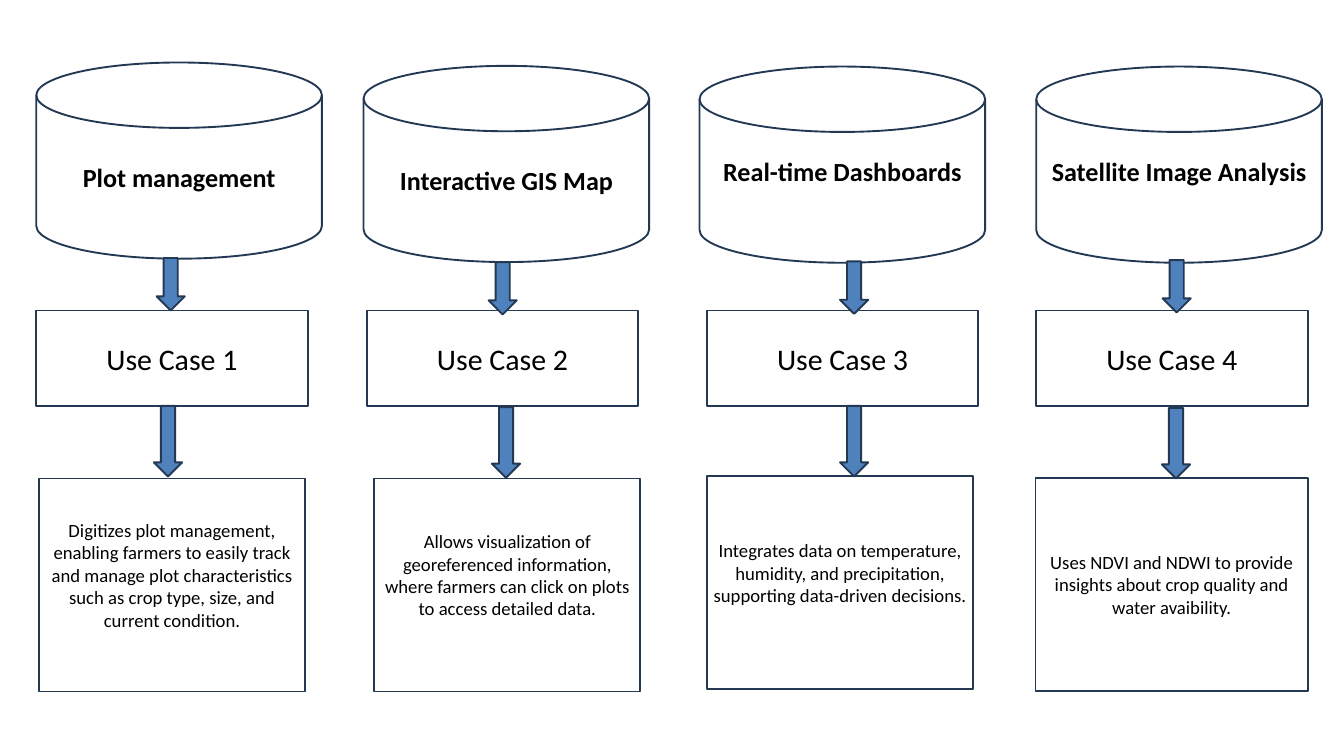
from dataclasses import dataclass

from pptx import Presentation
from pptx.dml.color import RGBColor
from pptx.enum.shapes import MSO_SHAPE as Preset
from pptx.enum.text import MSO_ANCHOR, PP_ALIGN
from pptx.shapes.autoshape import Shape
from pptx.slide import Slide
from pptx.util import Inches, Pt

BLACK = RGBColor(0x00, 0x00, 0x00)
NAVY = RGBColor(0x23, 0x39, 0x53)
BLUE = RGBColor(0x4F, 0x81, 0xBD)
FONT = "Calibri"

INSET = 0.05
RAISED_INSET = 0.35  # bottom inset that lifts centred text by half a line


@dataclass(frozen=True)
class Box:
    left: float
    top: float
    width: float
    height: float


@dataclass(frozen=True)
class Label:
    text: str
    size: int
    bold: bool = False
    raised: bool = False


@dataclass(frozen=True)
class UseCase:
    feature: Label
    cylinder: tuple[float, float]
    case_left: float
    description: Label
    description_box: Box
    upper_arrow: tuple[float, float]
    lower_arrow: tuple[float, float]


USE_CASES = [
    UseCase(
        Label("Plot management", 28, bold=True), (0.54, 0.93), 0.54,
        Label("Digitizes plot management, enabling farmers to easily track and "
              "manage plot characteristics such as crop type, size, and current "
              "condition.", 20, raised=True),
        Box(0.58, 7.12, 3.96, 3.17), (2.33, 3.84), (2.29, 6.04)),
    UseCase(
        Label("Interactive GIS Map", 28, bold=True), (5.41, 0.98), 5.46,
        Label("Allows visualization of georeferenced information, where farmers "
              "can click on plots to access detailed data.", 20, raised=True),
        Box(5.57, 7.12, 3.96, 3.17), (7.27, 3.9), (7.32, 6.06)),
    UseCase(
        Label("Real-time Dashboards", 28, bold=True, raised=True),
        (10.41, 0.99), 10.52,
        Label("Integrates data on temperature, humidity, and precipitation, "
              "supporting data-driven decisions.", 20, raised=True),
        Box(10.52, 7.09, 3.96, 3.17), (12.5, 3.89), (12.5, 6.04)),
    UseCase(
        Label("Satellite Image Analysis", 28, bold=True, raised=True),
        (15.42, 0.99), 15.42,
        Label("Uses NDVI and NDWI to provide insights about crop quality and "
              "water avaibility.", 20),
        Box(15.41, 7.11, 4.05, 3.17), (17.3, 3.87), (17.29, 6.07)),
]


def add_outlined(slide: Slide, preset: Preset, box: Box) -> Shape:
    shape = slide.shapes.add_shape(
        preset, Inches(box.left), Inches(box.top),
        Inches(box.width), Inches(box.height))
    shape.shadow.inherit = False
    shape.fill.background()
    shape.line.color.rgb = NAVY
    shape.line.width = Pt(2)
    return shape


def add_labelled(slide: Slide, preset: Preset, box: Box, label: Label) -> None:
    frame = add_outlined(slide, preset, box).text_frame
    frame.word_wrap = True
    frame.vertical_anchor = MSO_ANCHOR.MIDDLE
    frame.margin_left = frame.margin_right = Inches(0.09)
    frame.margin_top = Inches(INSET)
    frame.margin_bottom = Inches(RAISED_INSET if label.raised else INSET)
    paragraph = frame.paragraphs[0]
    paragraph.text = label.text
    paragraph.alignment = PP_ALIGN.CENTER
    font = paragraph.font
    font.name = FONT
    font.size = Pt(label.size)
    font.bold = label.bold
    font.color.rgb = BLACK


def add_arrow(slide: Slide, corner: tuple[float, float], height: float) -> None:
    arrow = add_outlined(slide, Preset.DOWN_ARROW, Box(*corner, 0.42, height))
    arrow.fill.solid()
    arrow.fill.fore_color.rgb = BLUE


def add_use_case(slide: Slide, number: int, case: UseCase) -> None:
    add_labelled(slide, Preset.FLOWCHART_MAGNETIC_DISK,
                 Box(*case.cylinder, 4.25, 2.92), case.feature)
    add_labelled(slide, Preset.RECTANGLE, Box(case.case_left, 4.62, 4.04, 1.42),
                 Label(f"Use Case {number}", 32))
    add_labelled(slide, Preset.RECTANGLE, case.description_box, case.description)
    add_arrow(slide, case.upper_arrow, 0.78)
    add_arrow(slide, case.lower_arrow, 1.05)


def main() -> None:
    deck = Presentation()
    deck.slide_width = Inches(20)
    deck.slide_height = Inches(11.25)
    slide = deck.slides.add_slide(deck.slide_layouts[6])
    for number, case in enumerate(USE_CASES, start=1):
        add_use_case(slide, number, case)
    deck.save("out.pptx")


if __name__ == "__main__":
    main()
